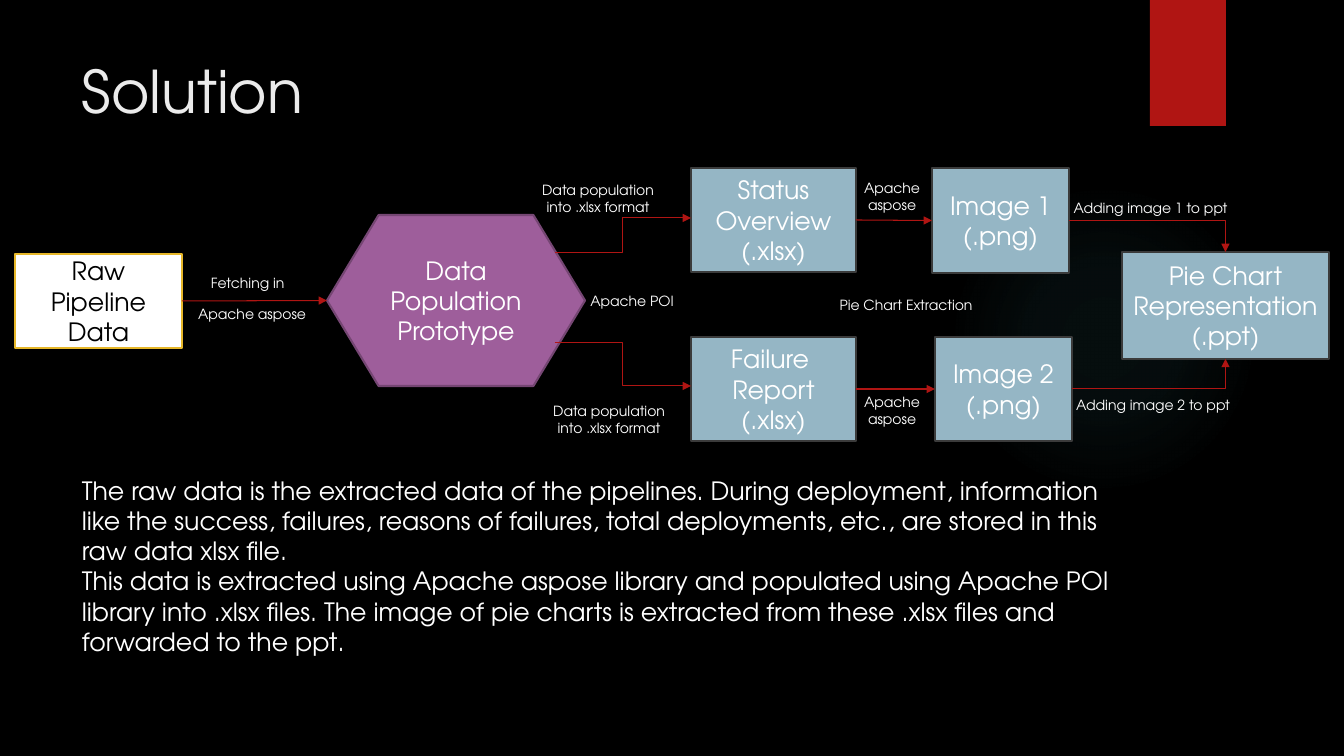
from lxml.etree import SubElement
from pptx import Presentation
from pptx.dml.color import RGBColor
from pptx.enum.shapes import MSO_CONNECTOR, MSO_SHAPE
from pptx.enum.text import MSO_ANCHOR, PP_ALIGN
from pptx.oxml import parse_xml
from pptx.oxml.ns import nsdecls, qn
from pptx.util import Pt

COLORS = {
    "back": "000000", "red": "B01513", "title": "EBEBEB",
    "white": "FFFFFF", "black": "000000", "gold": "E6B729",
    "purple": "9E5E9B", "plum": "754673",
    "blue": "95B6C5", "gray": "3B3B3B", "glow": "50B9C1",
}
TOP, LEFT, BOTTOM, RIGHT = range(4)


def px(n):
    return round(n * 914400 / 100.8)


def color(name):
    return RGBColor.from_string(COLORS[name])


class Board:
    font = "TeX Gyre Adventor"

    def __init__(self, deck):
        self.slide = deck.slides.add_slide(deck.slide_layouts[6])
        self.shapes = self.slide.shapes
        fill = self.slide.background.fill
        fill.solid()
        fill.fore_color.rgb = color("back")

    def letter(self, shape, text, size, ink, align, anchor):
        """Put styled text into a shape."""
        frame = shape.text_frame
        frame.word_wrap = True
        frame.vertical_anchor = anchor
        par = frame.paragraphs[0]
        par.text = text
        par.alignment = align
        par.font.name = self.font
        par.font.size = Pt(size)
        par.font.color.rgb = color(ink)

    def shape(self, kind, box, fill, line=None):
        item = self.shapes.add_shape(kind, *map(px, box))
        item.shadow.inherit = False
        item.fill.solid()
        item.fill.fore_color.rgb = color(fill)
        if line:
            item.line.color.rgb = color(line)
            item.line.width = Pt(1.5)
        else:
            item.line.fill.background()
        return item

    def node(self, text, box, fill="blue", line="gray", ink="white",
             kind=MSO_SHAPE.RECTANGLE):
        item = self.shape(kind, box, fill, line)
        self.letter(item, text, 18, ink, PP_ALIGN.CENTER, MSO_ANCHOR.MIDDLE)
        return item

    def text(self, text, box, size, ink="white", align=PP_ALIGN.LEFT,
             anchor=MSO_ANCHOR.TOP):
        item = self.shapes.add_textbox(*map(px, box))
        self.letter(item, text, size, ink, align, anchor)

    def label(self, text, x, y, width):
        self.text(text, (x, y, width, 34), 10,
                  align=PP_ALIGN.CENTER, anchor=MSO_ANCHOR.MIDDLE)

    def arrow(self, kind, ends=(0, 0, 0, 0)):
        item = self.shapes.add_connector(kind, *map(px, ends))
        item.line.color.rgb = color("red")
        item.line.width = Pt(0.75)
        props = item._element.spPr
        SubElement(props.find(qn("a:ln")), qn("a:tailEnd"), type="triangle")
        SubElement(props, qn("a:effectLst"))
        return item

    def join(self, start, end, side=LEFT):
        """Link the right side of start to a side of end, with one corner if needed."""
        bent = side != LEFT
        item = self.arrow(MSO_CONNECTOR.ELBOW if bent else MSO_CONNECTOR.STRAIGHT)
        item.begin_connect(start, RIGHT)
        item.end_connect(end, side)
        if bent:
            item._element.spPr.find(qn("a:prstGeom")).set("prst", "bentConnector2")

    def glow(self, box):
        """Draw a faint disc that fades out from its centre."""
        item = self.shape(MSO_SHAPE.OVAL, box, "glow")
        stops = "".join(
            f'<a:gs pos="{pos}000"><a:srgbClr val="{COLORS["glow"]}">'
            f'<a:alpha val="{alpha}000"/></a:srgbClr></a:gs>'
            for pos, alpha in ((0, 7), (36, 6), (69, 0), (100, 0)))
        grad = parse_xml(
            f'<a:gradFill {nsdecls("a")}><a:gsLst>{stops}</a:gsLst>'
            '<a:path path="circle"><a:fillToRect l="50000" t="50000" '
            'r="50000" b="50000"/></a:path></a:gradFill>')
        props = item._element.spPr
        props.replace(props.find(qn("a:solidFill")), grad)


def main():
    deck = Presentation()
    deck.slide_width, deck.slide_height = px(1344), px(756)
    board = Board(deck)

    board.glow((949, 184, 310, 310))
    board.shape(MSO_SHAPE.RECTANGLE, (1150, 0, 76, 126), "red")
    board.text("Solution", (72, 50, 1037, 154), 42, "title")

    raw = board.node("Raw Pipeline Data", (15, 254, 167, 94),
                     "white", "gold", "black")
    proto = board.node("Data Population\nPrototype", (327, 215, 258, 171),
                       "purple", "plum", kind=MSO_SHAPE.FLOWCHART_PREPARATION)
    status = board.node("Status Overview\n(.xlsx)", (691, 168, 165, 104))
    failure = board.node("Failure \nReport\n(.xlsx)", (691, 337, 165, 104))
    first = board.node("Image 1\n(.png)", (932, 168, 137, 105))
    second = board.node("Image 2\n(.png)", (935, 337, 137, 104))
    pie = board.node("Pie Chart\nRepresentation\n(.ppt)", (1122, 252, 207, 107))

    board.join(raw, proto)
    board.join(status, first)
    board.join(failure, second)
    board.join(first, pie, TOP)
    board.join(second, pie, BOTTOM)
    for ends in ((555, 253, 691, 218), (555, 343, 691, 386)):
        board.arrow(MSO_CONNECTOR.ELBOW, ends)

    for text, spots in (
        ("Fetching in ", [(187, 266, 125)]),
        ("Apache aspose ", [(187, 297, 134)]),
        ("Data population\ninto .xlsx format", [(516, 181, 164), (527, 402, 164)]),
        ("Apache POI", [(550, 284, 164)]),
        ("Pie Chart Extraction", [(824, 288, 164)]),
        ("Apache \naspose ", [(827, 179, 134), (827, 393, 134)]),
        ("Adding image 1 to ppt", [(1062, 191, 177)]),
        ("Adding image 2 to ppt", [(1062, 388, 182)]),
    ):
        for spot in spots:
            board.label(text, *spot)

    board.text(
        "The raw data is the extracted data of the pipelines. During deployment, "
        "information like the success, failures, reasons of failures, total "
        "deployments, etc., are stored in this raw data xlsx file. \n"
        "This data is extracted using Apache aspose library and populated using "
        "Apache POI library into .xlsx files. The image of pie charts is extracted "
        "from these .xlsx files and forwarded to the ppt.",
        (72, 470, 1064, 194), 18)

    deck.save("out.pptx")


if __name__ == "__main__":
    main()
